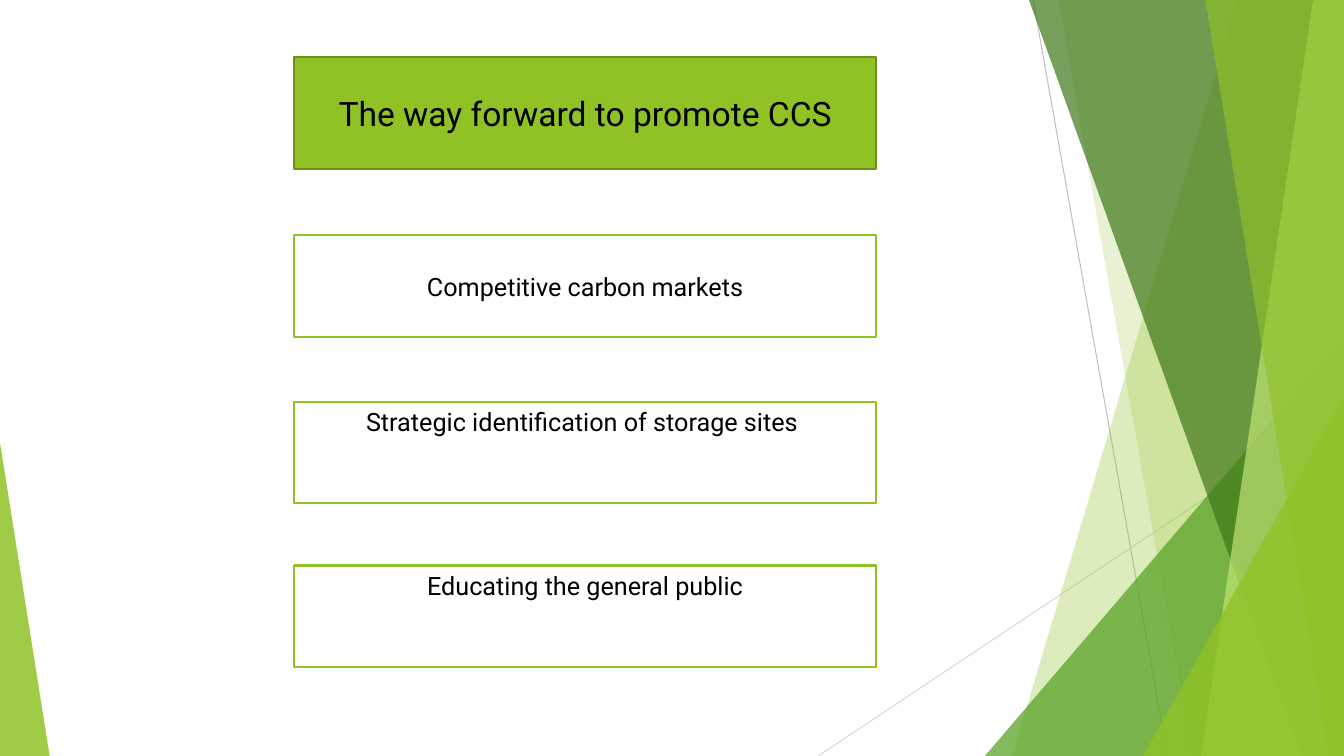
from lxml import etree
from pptx import Presentation
from pptx.dml.color import RGBColor
from pptx.enum.shapes import MSO_CONNECTOR, MSO_SHAPE
from pptx.enum.text import MSO_ANCHOR, PP_ALIGN
from pptx.oxml.ns import qn
from pptx.util import Pt

WIDTH, HEIGHT = 960, 540
COLOURS = {
    "lime": "90C226",
    "green": "54A021",
    "forest": "3F7819",
    "pale": "C0E474",
    "olive": "6B901C",
    "grey": "BFBFBF",
    "light grey": "D9D9D9",
    "white": "FFFFFF",
    "black": "000000",
}


def colour(name):
    return RGBColor.from_string(COLOURS[name])


def fill_facet(shape, name, opacity):
    shape.shadow.inherit = False
    shape.line.fill.background()
    shape.fill.solid()
    shape.fill.fore_color.rgb = colour(name)
    solid = shape._element.spPr.find(qn("a:solidFill"))
    etree.SubElement(solid[0], qn("a:alpha"), val=str(opacity * 1000))


presentation = Presentation()
presentation.slide_width = Pt(WIDTH)
presentation.slide_height = Pt(HEIGHT)
slide = presentation.slides.add_slide(presentation.slide_layouts[6])
shapes = slide.shapes

rays = [
    (738, 0, 834, HEIGHT, "grey"),
    (WIDTH, 290, 584.5, HEIGHT, "light grey"),
]
for *ends, name in rays:
    ray = shapes.add_connector(MSO_CONNECTOR.STRAIGHT, *[Pt(end) for end in ends])
    ray.line.color.rgb = colour(name)
    ray.line.width = Pt(0.75)
    etree.SubElement(ray._element.spPr, qn("a:effectLst"))

facets = [
    ("band", (884, 723), "lime", 30),
    ("band", (756, 852), "lime", 20),
    ("triangle", (703.5, 240, 256.5, 1), "green", 72),
    ("band", (735, 929.5), "forest", 70),
    ("band", (938, 858), "pale", 70),
    ("band", (861, 949), "lime", 65),
    ("triangle", (816.5, 283, 143.5, 1), "lime", 80),
    ("triangle", (0, 316, 35.5, 0), "lime", 85),
]
for kind, geometry, name, opacity in facets:
    if kind == "band":
        top_left, bottom_left = geometry
        builder = shapes.build_freeform(Pt(top_left), 0)
        corners = [(WIDTH, 0), (WIDTH, HEIGHT), (bottom_left, HEIGHT)]
        builder.add_line_segments([(Pt(x), Pt(y)) for x, y in corners], close=True)
        facet = builder.convert_to_shape()
    else:
        left, top, width, apex = geometry
        facet = shapes.add_shape(
            MSO_SHAPE.ISOSCELES_TRIANGLE, Pt(left), Pt(top), Pt(width), Pt(HEIGHT - top)
        )
        facet.adjustments[0] = apex
    fill_facet(facet, name, opacity)

boxes = [
    ("The way forward to promote CCS", 41, 80, 24, "lime", "olive", MSO_ANCHOR.MIDDLE),
    ("Competitive carbon markets", 168, 72.5, 18, "white", "lime", MSO_ANCHOR.MIDDLE),
    ("Strategic identification of storage sites ", 287, 72.5, 18, "white", "lime", MSO_ANCHOR.TOP),
    ("Educating the general public", 404, 72.5, 18, "white", "lime", MSO_ANCHOR.TOP),
]
for text, top, height, size, fill, line, anchor in boxes:
    box = shapes.add_shape(MSO_SHAPE.RECTANGLE, Pt(210), Pt(top), Pt(416), Pt(height))
    box.shadow.inherit = False
    box.fill.solid()
    box.fill.fore_color.rgb = colour(fill)
    box.line.color.rgb = colour(line)
    box.line.width = Pt(1.5)
    box.text_frame.word_wrap = True
    box.text_frame.vertical_anchor = anchor
    paragraph = box.text_frame.paragraphs[0]
    paragraph.alignment = PP_ALIGN.CENTER
    run = paragraph.add_run()
    run.text = text
    run.font.name = "Roboto"
    run.font.size = Pt(size)
    run.font.color.rgb = colour("black")

presentation.save("out.pptx")
